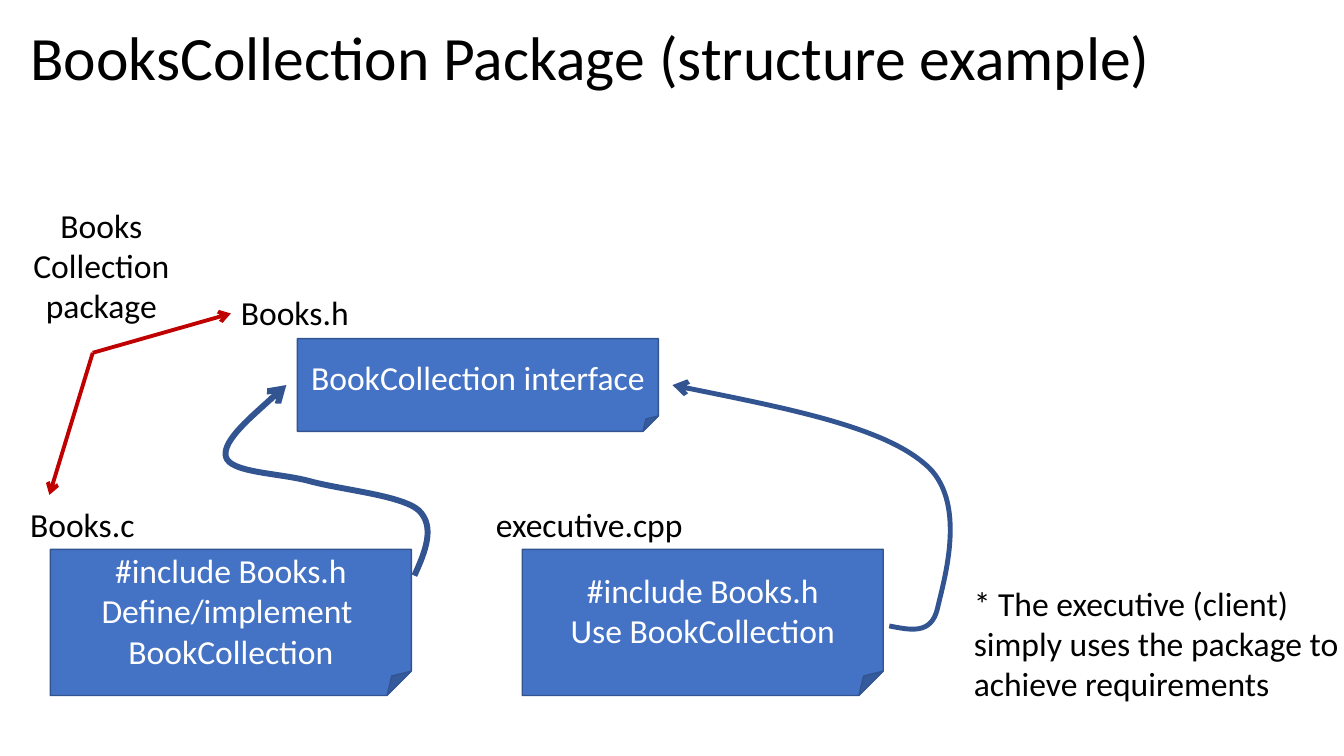
from dataclasses import dataclass

from lxml.etree import SubElement
from pptx import Presentation
from pptx.dml.color import RGBColor
from pptx.enum.shapes import MSO_CONNECTOR as Connector, MSO_SHAPE as Preset
from pptx.enum.text import MSO_ANCHOR as Anchor, MSO_AUTO_SIZE as AutoSize, PP_ALIGN as Align
from pptx.oxml.ns import qn
from pptx.util import Inches, Pt


@dataclass(frozen=True)
class Theme:
    font: str = "Calibri"
    title_size: int = 44
    body_size: int = 24
    ink: RGBColor = RGBColor(0, 0, 0)
    paper: RGBColor = RGBColor(255, 255, 255)
    card: RGBColor = RGBColor(0x44, 0x72, 0xC4)
    edge: RGBColor = RGBColor(0x32, 0x54, 0x91)
    accent: RGBColor = RGBColor(0xC0, 0, 0)


THEME = Theme()
CARD_WIDTH = 3.58
LOWER_CARD_TOP = 5.45
LOWER_CARD_HEIGHT = 1.45
LABEL_HEIGHT = 0.5
PACKAGE_HUB = (0.92, 3.5)


def write(frame, lines, size, color, align):
    for index, text in enumerate(lines):
        para = frame.paragraphs[0] if index == 0 else frame.add_paragraph()
        para.alignment = align
        span = para.add_run()
        span.text = text
        span.font.name = THEME.font
        span.font.size = Pt(size)
        span.font.color.rgb = color


def add_title(page, text):
    title = page.shapes.title
    title.left, title.top = Inches(0.2), Inches(0.16)
    title.width, title.height = Inches(11.5), Inches(0.88)
    frame = title.text_frame
    frame.auto_size = AutoSize.NONE
    frame.vertical_anchor = Anchor.MIDDLE
    write(frame, [text], THEME.title_size, THEME.ink, Align.LEFT)
    frame.paragraphs[0].line_spacing = 0.9


def add_label(page, left, top, width, height, lines, align=Align.LEFT):
    box = page.shapes.add_textbox(Inches(left), Inches(top), Inches(width), Inches(height))
    frame = box.text_frame
    frame.word_wrap = True
    frame.auto_size = AutoSize.SHAPE_TO_FIT_TEXT
    write(frame, lines, THEME.body_size, THEME.ink, align)


def add_card(page, left, top, height, lines):
    card = page.shapes.add_shape(
        Preset.FOLDED_CORNER, Inches(left), Inches(top), Inches(CARD_WIDTH), Inches(height)
    )
    card.shadow.inherit = False
    card.fill.solid()
    card.fill.fore_color.rgb = THEME.card
    card.line.color.rgb = THEME.edge
    card.line.width = Pt(1)
    card.text_frame.word_wrap = True
    card.text_frame.vertical_anchor = Anchor.MIDDLE
    write(card.text_frame, lines, THEME.body_size, THEME.paper, Align.CENTER)


def style_arrow(shape, color, width):
    shape.line.color.rgb = color
    shape.line.width = Pt(width)
    outline = shape.element.spPr.find(qn("a:ln"))
    SubElement(outline, qn("a:tailEnd"), type="arrow")


def add_straight_arrow(page, start, end):
    arrow = page.shapes.add_connector(
        Connector.STRAIGHT, *(Inches(value) for value in (*start, *end))
    )
    style_arrow(arrow, THEME.accent, 2.75)
    SubElement(arrow.element.spPr, qn("a:effectLst"))


def add_curved_arrow(page, points, width):
    start, *controls = [(Inches(x), Inches(y)) for x, y in points]
    builder = page.shapes.build_freeform(*start)
    builder.add_line_segments(controls, close=False)
    arrow = builder.convert_to_shape()
    arrow.shadow.inherit = False
    arrow.fill.background()
    style_arrow(arrow, THEME.edge, width)
    outline = next(arrow.element.iter(qn("a:path")))
    segments = outline.findall(qn("a:lnTo"))
    for first in range(0, len(segments), 3):
        curve = SubElement(outline, qn("a:cubicBezTo"))
        for segment in segments[first:first + 3]:
            curve.append(segment[0])
            outline.remove(segment)


def main():
    deck = Presentation()
    deck.slide_width, deck.slide_height = Inches(13.33), Inches(7.5)
    page = deck.slides.add_slide(deck.slide_layouts.get_by_name("Title Only"))
    add_title(page, "BooksCollection Package (structure example)")

    add_card(page, 2.95, 3.36, 0.92, ["BookCollection interface"])
    add_card(page, 0.5, LOWER_CARD_TOP, LOWER_CARD_HEIGHT,
             ["#include Books.h", "Define/implement ", "BookCollection"])
    add_card(page, 5.18, LOWER_CARD_TOP, LOWER_CARD_HEIGHT,
             ["#include Books.h", "Use BookCollection"])

    for left, top, width, name in (
        (2.29, 2.85, 1.44, "Books.h"),
        (0.2, 4.95, 1.44, "Books.c"),
        (4.82, 4.95, 2.42, "executive.cpp"),
    ):
        add_label(page, left, top, width, LABEL_HEIGHT, [name])

    add_curved_arrow(page, [
        (4.11, 5.71),
        (4.22, 5.47), (4.32, 5.22), (4.15, 5.06),
        (3.97, 4.91), (3.38, 4.86), (3.06, 4.77),
        (2.75, 4.69), (2.28, 4.69), (2.24, 4.53),
        (2.2, 4.37), (2.84, 3.82), (2.84, 3.82),
    ], 4.25)
    add_curved_arrow(page, [
        (8.82, 6.21),
        (9.03, 6.25), (9.24, 6.3), (9.3, 6.03),
        (9.36, 5.76), (9.61, 4.96), (9.17, 4.6),
        (8.74, 4.23), (7.7, 4.03), (6.67, 3.82),
    ], 3.5)
    for target in ((0.49, 4.91), (2.29, 3.11)):
        add_straight_arrow(page, PACKAGE_HUB, target)

    add_label(page, 0.12, 1.98, 1.77, 1.31, ["Books Collection", " package "], Align.CENTER)
    add_label(page, 9.56, 5.73, 4.13, 1.31,
              ["* The executive (client) simply uses the package to achieve requirements"])
    deck.save("out.pptx")


if __name__ == "__main__":
    main()
